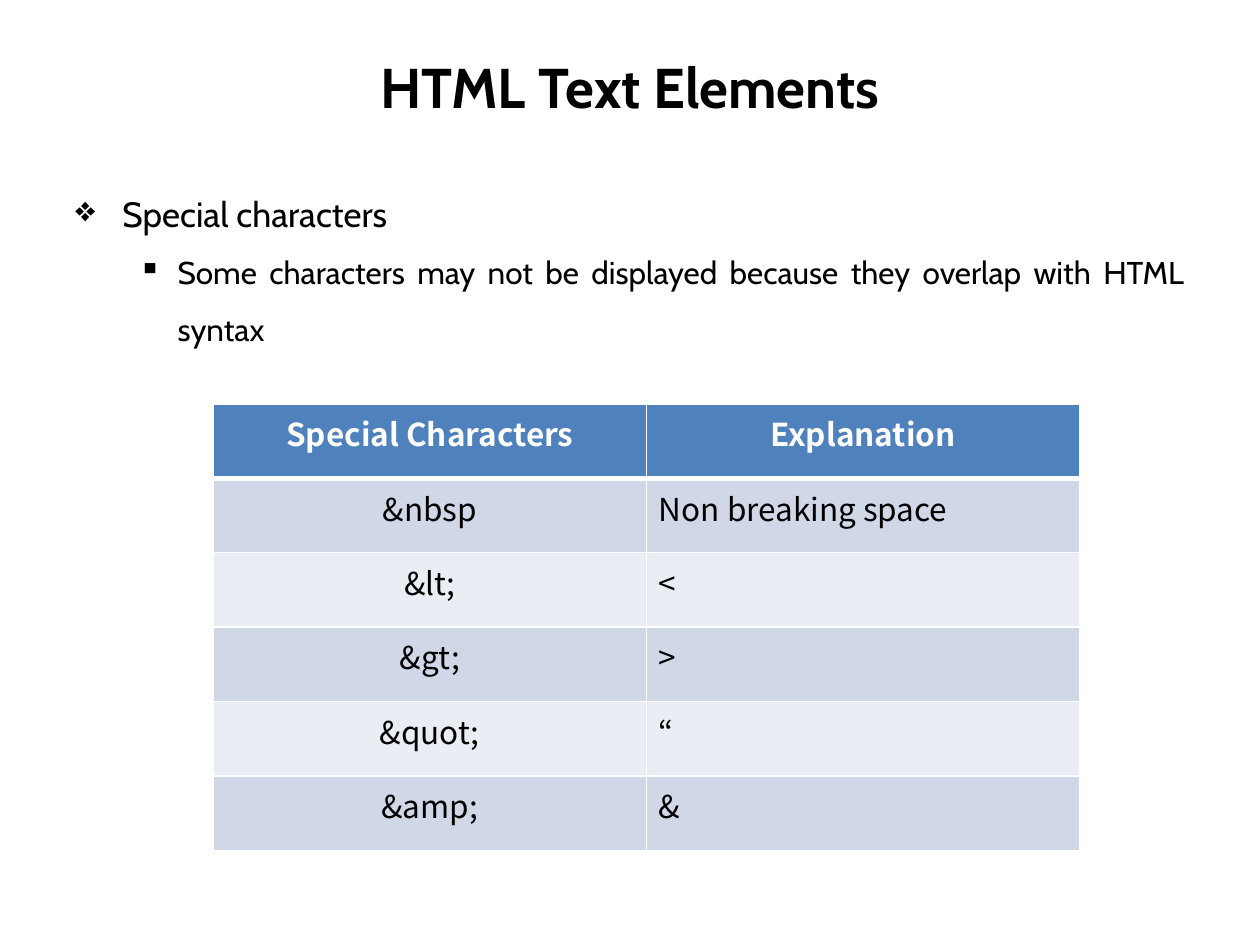
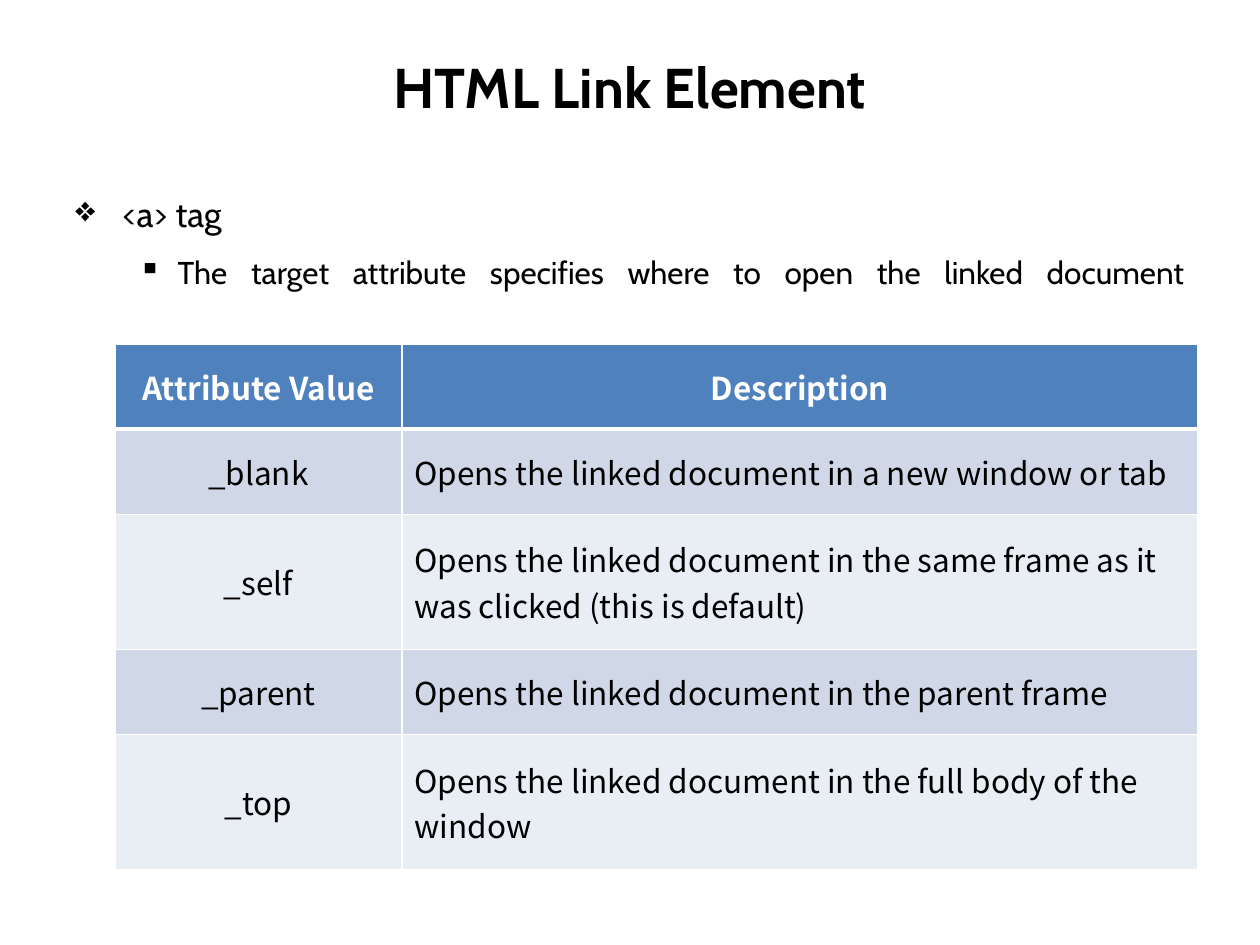
from lxml import etree
from pptx import Presentation
from pptx import util as u
from pptx.dml.color import RGBColor
from pptx.enum import text as t
from pptx.oxml.ns import qn

BLACK, WHITE = "000000", "FFFFFF"
HEADER, BAND_DARK, BAND_LIGHT = "4F81BD", "D0D8E8", "E9EDF4"
TEXT_FONT, TABLE_FONT = "Cabin", "Noto Sans CJK KR"
LEFT, CENTER, JUSTIFY = t.PP_ALIGN.LEFT, t.PP_ALIGN.CENTER, t.PP_ALIGN.JUSTIFY
TOP, MIDDLE = t.MSO_ANCHOR.TOP, t.MSO_ANCHOR.MIDDLE

# bullet, font size, left margin (cm), hanging indent (cm) for each level
LEVELS = [("❖", 20, 0.95, 0.95), ("▪", 18, 2.06, 0.79)]


def color(value):
    return RGBColor.from_string(value)


def write(paragraph, text, size=18, font=TEXT_FONT, ink=BLACK, bold=False, align=LEFT):
    """Fill a paragraph; each newline in the text becomes a line break."""
    paragraph.alignment = align
    for index, line in enumerate(text.split("\n")):
        if index:
            paragraph.add_line_break()
        if line:
            run = paragraph.add_run()
            run.text = line
            run.font.size = u.Pt(size)
            run.font.name = font
            run.font.bold = bold
            run.font.color.rgb = color(ink)


def set_bullet(paragraph, character, margin, hanging):
    properties = paragraph._p.get_or_add_pPr()
    properties.set("marL", str(u.Cm(margin)))
    properties.set("indent", str(-u.Cm(hanging)))
    etree.SubElement(properties, qn("a:buChar"), char=character)


def set_borders(cell, top=1, bottom=1):
    """Draw white borders; widths are in points."""
    properties = cell._tc.get_or_add_tcPr()
    widths = {"a:lnL": 1, "a:lnR": 1, "a:lnT": top, "a:lnB": bottom}
    for index, (side, width) in enumerate(widths.items()):
        line = etree.Element(qn(side), w=str(u.Pt(width)))
        fill = etree.SubElement(line, qn("a:solidFill"))
        etree.SubElement(fill, qn("a:srgbClr"), val=WHITE)
        properties.insert(index, line)


class Deck:
    """Holds the presentation, its style and the slide being built."""

    def __init__(self):
        self.presentation = Presentation()
        self.presentation.slide_width = u.Cm(25.4)
        self.presentation.slide_height = u.Cm(19.05)
        self.slide = None

    def add_slide(self, title):
        self.slide = self.presentation.slides.add_slide(self.presentation.slide_layouts[6])
        frame = self.add_text_frame(0.76, 1.96, MIDDLE)
        write(frame.paragraphs[0], title, size=32, bold=True, align=CENTER)

    def add_text_frame(self, top, height, anchor):
        box = self.slide.shapes.add_textbox(u.Cm(1.27), u.Cm(top), u.Cm(22.86), u.Cm(height))
        frame = box.text_frame
        frame.word_wrap = True
        frame.vertical_anchor = anchor
        return frame

    def add_bullets(self, *lines):
        """Add one line for each bullet level, outermost first."""
        frame = self.add_text_frame(3.33, 14.81, TOP)
        for level, (line, style) in enumerate(zip(lines, LEVELS)):
            character, size, margin, hanging = style
            paragraph = frame.add_paragraph() if level else frame.paragraphs[0]
            paragraph.level = level
            paragraph.line_spacing = 1.5
            set_bullet(paragraph, character, margin, hanging)
            write(paragraph, line, size=size, align=JUSTIFY)

    def add_table(self, left, top, widths, heights, rows, anchor):
        table = self.slide.shapes.add_table(
            len(rows), len(widths), u.Cm(left), u.Cm(top),
            u.Cm(sum(widths)), u.Cm(sum(heights))).table
        for column, width in zip(table.columns, widths):
            column.width = u.Cm(width)
        for row_index, (values, height) in enumerate(zip(rows, heights)):
            table.rows[row_index].height = u.Cm(height)
            for column_index, value in enumerate(values):
                cell = table.cell(row_index, column_index)
                self.format_cell(cell, value, row_index, column_index, anchor)

    def format_cell(self, cell, value, row, column, anchor):
        is_header = row == 0
        band = BAND_DARK if row % 2 else BAND_LIGHT
        cell.fill.solid()
        cell.fill.fore_color.rgb = color(HEADER if is_header else band)
        cell.vertical_anchor = anchor
        set_borders(cell, top=3 if row == 1 else 1, bottom=3 if is_header else 1)
        write(cell.text_frame.paragraphs[0], value, font=TABLE_FONT,
              ink=WHITE if is_header else BLACK, bold=is_header,
              align=CENTER if is_header or column == 0 else LEFT)

    def save(self):
        self.presentation.save("out.pptx")


def add_text_elements(deck):
    deck.add_slide("HTML Text Elements")
    deck.add_bullets(
        "Special characters",
        "Some characters may not be displayed because they overlap with HTML syntax")
    rows = [
        ("Special Characters", "Explanation"),
        ("&nbsp", "Non breaking space"),
        ("&lt;", "<"),
        ("&gt;", ">"),
        ("&quot;", "“"),
        ("&amp;", "&"),
    ]
    deck.add_table(4.3, 8.14, [8.73] * 2, [1.5] * len(rows), rows, TOP)


def add_link_element(deck):
    deck.add_slide("HTML Link Element")
    deck.add_bullets(
        "<a> tag",
        "The target attribute specifies where to open the linked document\n")
    rows = [
        ("Attribute Value", "Description"),
        ("_blank", "Opens the linked document in a new window or tab"),
        ("_self", "Opens the linked document in the same frame as it was clicked "
                  "(this is default)"),
        ("_parent", "Opens the linked document in the parent frame"),
        ("_top", "Opens the linked document in the full body of the window"),
    ]
    single, double = 1.72, 2.72
    heights = [single, single, double, single, double]
    deck.add_table(2.32, 6.93, [5.78, 16.05], heights, rows, MIDDLE)


def main():
    deck = Deck()
    add_text_elements(deck)
    add_link_element(deck)
    deck.save()


if __name__ == "__main__":
    main()
